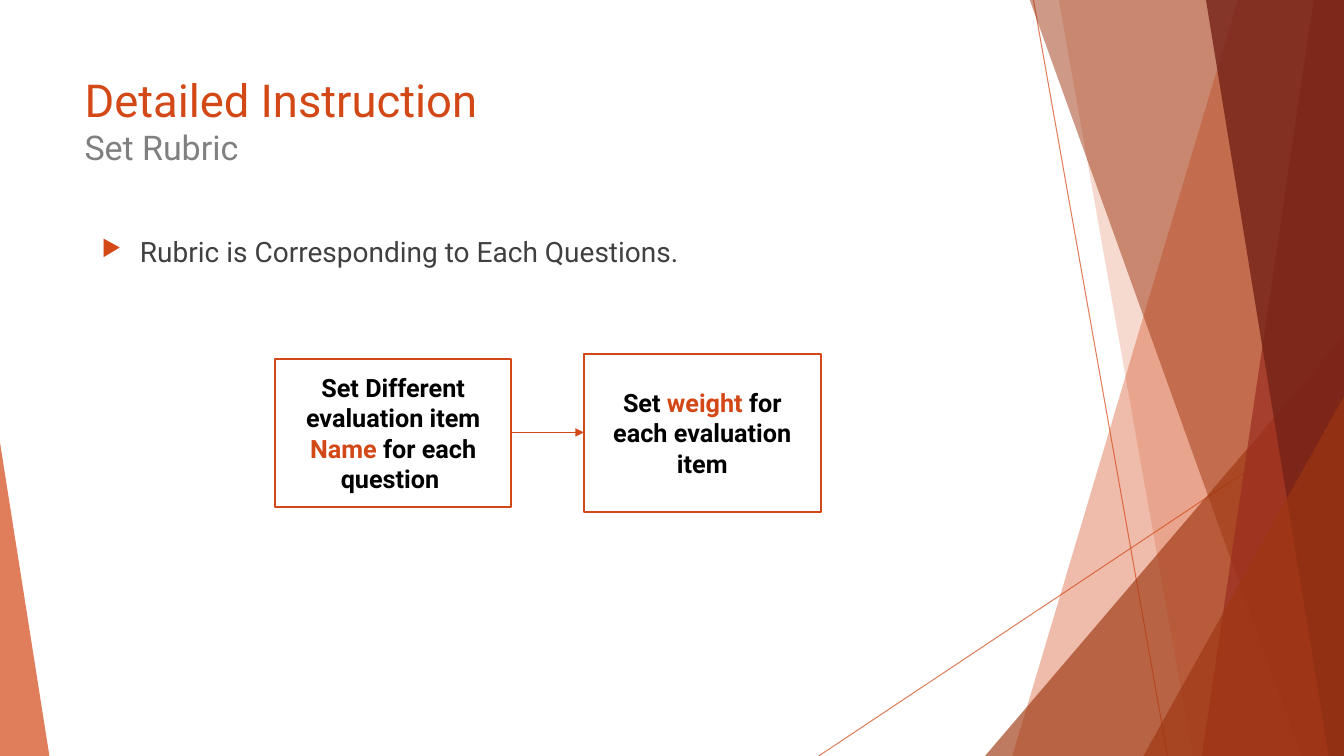
from lxml.etree import SubElement
from pptx import Presentation
from pptx.dml.color import RGBColor
from pptx.enum.shapes import MSO_CONNECTOR, MSO_SHAPE
from pptx.enum.text import MSO_ANCHOR, PP_ALIGN
from pptx.oxml.ns import qn
from pptx.util import Pt

PX = 9144
WIDTH, HEIGHT = 1333, 750
TOP = -1
ORANGE = RGBColor(0xD3, 0x48, 0x17)
RUST = RGBColor(0x9E, 0x36, 0x11)
RED = RGBColor(0x9B, 0x2D, 0x1F)
MAROON = RGBColor(0x74, 0x22, 0x17)
GRAY = RGBColor(0x80, 0x80, 0x80)
DARK = RGBColor(0x40, 0x40, 0x40)
BLACK = RGBColor(0, 0, 0)
WHITE = RGBColor(0xFF, 0xFF, 0xFF)

TITLE = {"name": "Roboto", "size": Pt(32.4)}
SUBTITLE = {"name": "Roboto", "size": Pt(24.3)}
BODY = {"name": "Roboto", "size": Pt(20)}
STEP = {"name": "Roboto", "size": Pt(18), "bold": True}


def px(*lengths):
    """Turn pixel lengths into EMU."""
    return [n * PX for n in lengths]


def fade(s, percent):
    """Set the opacity of every colour in a shape."""
    for color in s._element.spPr.iter(qn("a:srgbClr")):
        SubElement(color, qn("a:alpha"), val=str(percent * 1000))


def paint(s, color, opacity):
    """Give a shape a translucent fill and no outline."""
    s.shadow.inherit = False
    s.fill.solid()
    s.fill.fore_color.rgb = color
    s.line.fill.background()
    fade(s, opacity)


def add_band(shapes, top_x, bottom_x, color, opacity):
    """Draw a full-height band from a slanted edge to the right side."""
    builder = shapes.build_freeform(top_x, TOP, scale=PX)
    builder.add_line_segments([(WIDTH, TOP), (WIDTH, HEIGHT), (bottom_x, HEIGHT)])
    paint(builder.convert_to_shape(), color, opacity)


def add_corner(shapes, left, top, width, apex, color, opacity):
    """Draw a triangle standing on the bottom edge of the slide."""
    box = px(left, top, width, HEIGHT - top)
    s = shapes.add_shape(MSO_SHAPE.ISOSCELES_TRIANGLE, *box)
    s.adjustments[0] = apex
    paint(s, color, opacity)


def add_line(shapes, start, end, width):
    """Draw a straight orange line without a shadow."""
    s = shapes.add_connector(MSO_CONNECTOR.STRAIGHT, *px(*start, *end))
    s.line.color.rgb = ORANGE
    s.line.width = Pt(width)
    SubElement(s._element.spPr, qn("a:effectLst"))
    return s


def add_run(p, text, color, style):
    """Append a formatted run to a paragraph."""
    r = p.add_run()
    r.text = text
    r.font.color.rgb = color
    for name, value in style.items():
        setattr(r.font, name, value)


def add_text(shapes, box):
    """Add a wrapping text box and return its first paragraph."""
    tf = shapes.add_textbox(*px(*box)).text_frame
    tf.word_wrap = True
    return tf.paragraphs[0]


def add_bullet(p):
    """Give a paragraph a hanging orange arrow bullet."""
    p.space_before = Pt(10)
    pPr = p._p.get_or_add_pPr()
    pPr.set("marL", str(38 * PX))
    pPr.set("indent", str(-38 * PX))
    SubElement(SubElement(pPr, qn("a:buClr")), qn("a:srgbClr"), val=str(ORANGE))
    SubElement(pPr, qn("a:buSzPct"), val="80000")
    SubElement(pPr, qn("a:buChar"), char="▶")


def add_step(shapes, box, before, keyword, after):
    """Draw an outlined step box with a highlighted keyword."""
    s = shapes.add_shape(MSO_SHAPE.RECTANGLE, *px(*box))
    s.shadow.inherit = False
    s.fill.solid()
    s.fill.fore_color.rgb = WHITE
    s.line.color.rgb = ORANGE
    s.line.width = Pt(1.5)
    tf = s.text_frame
    tf.word_wrap = True
    tf.vertical_anchor = MSO_ANCHOR.MIDDLE
    p = tf.paragraphs[0]
    p.alignment = PP_ALIGN.CENTER
    for text, color in ((before, BLACK), (keyword, ORANGE), (after, BLACK)):
        add_run(p, text, color, STEP)


def add_backdrop(shapes):
    """Draw the layered facets along the slide edges."""
    for start, end in (((1025, 0), (1158, HEIGHT)), ((WIDTH, 403), (812, HEIGHT))):
        fade(add_line(shapes, start, end, 0.75), 70)
    add_band(shapes, 1228, 1004, ORANGE, 36)
    add_band(shapes, 1050, 1183, ORANGE, 20)
    add_corner(shapes, 977, 333, 356, 1, RUST, 66)
    add_band(shapes, 1021, 1291, RUST, 50)
    add_band(shapes, 1303, 1192, RED, 70)
    add_band(shapes, 1196, 1318, MAROON, 80)
    add_corner(shapes, 1134, 393, 199, 1, RUST, 66)
    add_corner(shapes, 0, 439, 49, 0, ORANGE, 70)


def main():
    """Build the rubric slide and save it."""
    prs = Presentation()
    prs.slide_width, prs.slide_height = px(WIDTH, HEIGHT)
    shapes = prs.slides.add_slide(prs.slide_layouts[6]).shapes
    add_backdrop(shapes)

    p = add_text(shapes, (74, 67, 940, 144))
    add_run(p, "Detailed Instruction", ORANGE, TITLE)
    p.add_line_break()
    add_run(p, "Set Rubric", GRAY, SUBTITLE)

    p = add_text(shapes, (91, 228, 965, 57))
    add_bullet(p)
    add_run(p, "Rubric is Corresponding to Each Questions.", DARK, BODY)

    add_step(shapes, (273, 356, 234, 147),
             "Set Different evaluation item ", "Name", " for each question ")
    add_step(shapes, (579, 351, 235, 157),
             "Set ", "weight", " for each evaluation item")
    arrow = add_line(shapes, (507, 429), (579, 429), 1)
    SubElement(arrow.line._get_or_add_ln(), qn("a:tailEnd"), type="triangle")
    prs.save("out.pptx")


if __name__ == "__main__":
    main()
